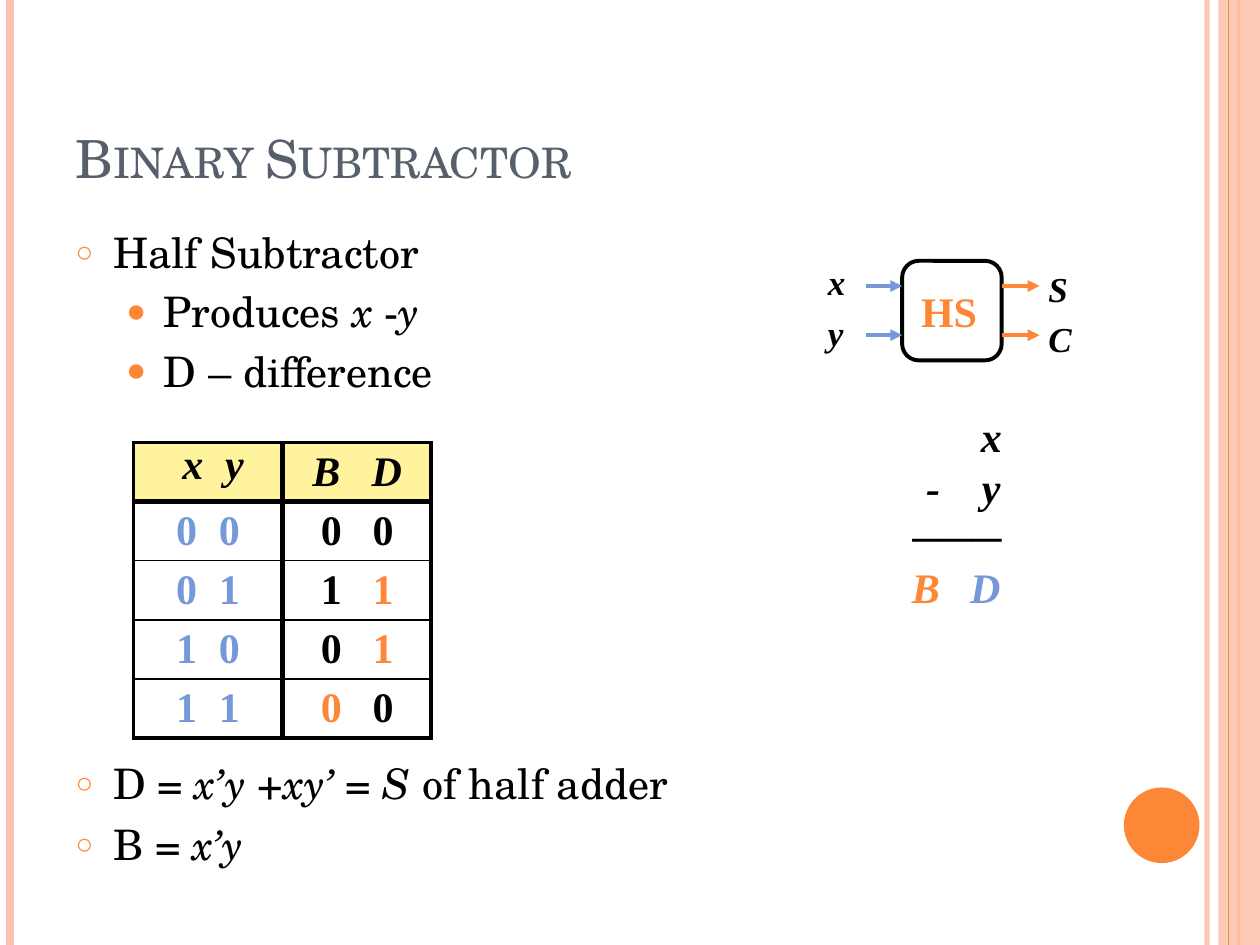
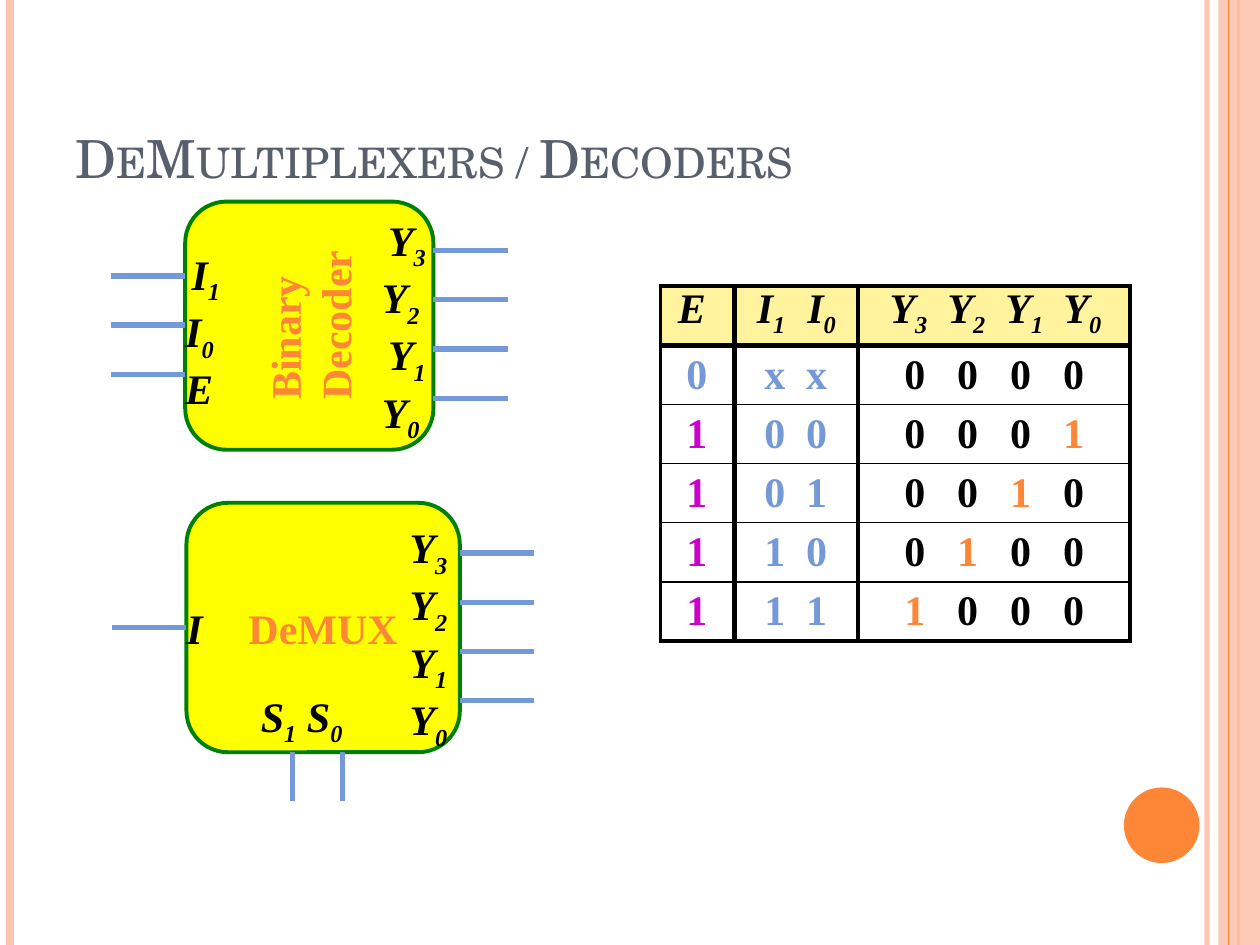
from lxml import etree
from pptx import Presentation
from pptx.dml.color import RGBColor
from pptx.enum.shapes import MSO_CONNECTOR, MSO_SHAPE
from pptx.enum.text import MSO_ANCHOR, MSO_AUTO_SIZE, PP_ALIGN
from pptx.oxml.ns import qn
from pptx.util import Inches, Pt

STRAIGHT = MSO_CONNECTOR.STRAIGHT
RECTANGLE, ROUNDED, OVAL = MSO_SHAPE.RECTANGLE, MSO_SHAPE.ROUNDED_RECTANGLE, MSO_SHAPE.OVAL
TOP, MIDDLE, BOTTOM = MSO_ANCHOR.TOP, MSO_ANCHOR.MIDDLE, MSO_ANCHOR.BOTTOM
LEFT, CENTER, RIGHT = PP_ALIGN.LEFT, PP_ALIGN.CENTER, PP_ALIGN.RIGHT

BLACK = RGBColor(0x00, 0x00, 0x00)
SLATE = RGBColor(0x57, 0x5F, 0x6D)
ORANGE = RGBColor(0xFE, 0x86, 0x37)
PEACH = RGBColor(0xFE, 0xC3, 0xAE)
BLUE = RGBColor(0x75, 0x98, 0xD9)
MAGENTA = RGBColor(0xCC, 0x00, 0xCC)
CREAM = RGBColor(0xFF, 0xF3, 0x9D)
YELLOW = RGBColor(0xFF, 0xFF, 0x00)
GREEN = RGBColor(0x00, 0x80, 0x00)

BODY_FONT = "TeX Gyre Schola"
DIAGRAM_FONT = "Times New Roman"
MARK_COLORS = {"*": ORANGE, "+": MAGENTA}
ROW_HEIGHT = 0.47
PIN_LENGTH = 0.59
PIN_GAP = 0.39


# ---- Text helpers ----
def add_child(parent, tag, **attributes):
    return etree.SubElement(parent, qn(tag), {key: str(value) for key, value in attributes.items()})


def set_font(font, name, size, color, bold=False, italic=False):
    font.name, font.size, font.bold, font.italic = name, Pt(size), bold, italic
    font.color.rgb = color


def set_indent(paragraph, margin, first_line=0):
    properties = paragraph._p.get_or_add_pPr()
    properties.set("marL", str(Inches(margin)))
    properties.set("indent", str(Inches(first_line)))
    return properties


def add_run(paragraph, text, color=None, subscript=False):
    run = paragraph.add_run()
    run.text = text
    if color is not None:
        run.font.color.rgb = color
    if subscript:
        run._r.get_or_add_rPr().set("baseline", "-25000")
    return run


def add_subscripted(paragraph, text, color=None):
    """Each character that follows an underscore is set as a subscript."""
    first, *others = text.split("_")
    add_run(paragraph, first, color)
    for part in others:
        add_run(paragraph, part[0], color, subscript=True)
        if part[1:]:
            add_run(paragraph, part[1:], color)


def add_tab_stops(paragraph, offsets, align):
    tab_list = add_child(paragraph._p.get_or_add_pPr(), "a:tabLst")
    for offset in offsets:
        add_child(tab_list, "a:tab", pos=Inches(offset), algn=align)


def clear_margins(frame):
    frame.margin_left = frame.margin_right = frame.margin_top = frame.margin_bottom = 0


def add_text_frame(slide, left, top, width, height):
    box = slide.shapes.add_textbox(Inches(left), Inches(top), Inches(width), Inches(height))
    frame = box.text_frame
    frame.word_wrap = True
    clear_margins(frame)
    return frame


def add_labels(slide, left, top, width, height, labels, size=24, gap=0, indents=()):
    frame = add_text_frame(slide, left, top, width, height)
    for index, label in enumerate(labels):
        paragraph = frame.paragraphs[0] if index == 0 else frame.add_paragraph()
        if index in indents:
            set_indent(paragraph, 0.05)
        if index and gap:
            paragraph.space_before = Pt(gap)
        set_font(paragraph.font, DIAGRAM_FONT, size, BLACK, bold=True, italic=True)
        add_subscripted(paragraph, label)


# ---- Shapes and lines ----
def add_shape(slide, kind, left, top, width, height, fill=None, line=None):
    shape = slide.shapes.add_shape(kind, Inches(left), Inches(top), Inches(width), Inches(height))
    shape.shadow.inherit = False
    if fill is None:
        shape.fill.background()
    else:
        shape.fill.solid()
        shape.fill.fore_color.rgb = fill
    if line is None:
        shape.line.fill.background()
    else:
        shape.line.color.rgb = line
        shape.line.width = Pt(2.25)
    return shape


def add_line(slide, start, end, color, width, arrow=False):
    line = slide.shapes.add_connector(STRAIGHT, *(Inches(value) for value in (*start, *end)))
    line.line.color.rgb = color
    line.line.width = Pt(width)
    if arrow:
        add_child(line.line._get_or_add_ln(), "a:tailEnd", type="triangle")
    add_child(line._element.spPr, "a:effectLst")
    return line


def set_opacity(shape, percent):
    color = next(shape._element.spPr.iter(qn("a:srgbClr")))
    add_child(color, "a:alpha", val=percent * 1000)


def add_block(slide, left, top, width, height, text, upward_indent=None):
    """The name is centred, or reads upward from an indent when one is given."""
    block = add_shape(slide, ROUNDED, left, top, width, height, YELLOW, GREEN)
    frame = block.text_frame
    clear_margins(frame)
    frame.word_wrap = True
    frame.vertical_anchor = MIDDLE
    frame.text = text
    paragraph = frame.paragraphs[0]
    paragraph.alignment = CENTER
    if upward_indent is not None:
        frame._txBody.bodyPr.set("vert", "vert270")
        paragraph.alignment = LEFT
        set_indent(paragraph, upward_indent)
    set_font(paragraph.font, DIAGRAM_FONT, 24, ORANGE, bold=True)
    return block


def add_pins(slide, left, top, count):
    for index in range(count):
        y = top + index * PIN_GAP
        add_line(slide, (left, y), (left + PIN_LENGTH, y), BLUE, 3)


# ---- Truth tables ----
def set_borders(cell, left, right, top, bottom):
    properties = cell._tc.get_or_add_tcPr()
    for index, (side, width) in enumerate(zip("LRTB", (left, right, top, bottom))):
        border = etree.Element(qn(f"a:ln{side}"), w=str(Pt(width)))
        add_child(add_child(border, "a:solidFill"), "a:srgbClr", val=str(BLACK))
        properties.insert(index, border)


def fill_cell(cell, text, offsets, color, header, anchor):
    """Set each symbol on its own centred tab stop; a final mark picks its colour."""
    clear_margins(cell)
    cell.vertical_anchor = anchor
    paragraph = cell.text_frame.paragraphs[0]
    paragraph.alignment = LEFT
    add_tab_stops(paragraph, offsets, "ctr")
    set_font(paragraph.font, DIAGRAM_FONT, 24, color, bold=True, italic=header)
    for symbol in text.split():
        mark = MARK_COLORS.get(symbol[-1])
        add_subscripted(paragraph, "\t" + (symbol[:-1] if mark else symbol), mark or color)
    if header:
        cell.fill.solid()
        cell.fill.fore_color.rgb = CREAM
    else:
        cell.fill.background()


def add_truth_table(slide, left, top, columns, rows):
    """A column is (width, heading, heading anchor, heading stops, value stops, value colour)."""
    last_row, last_column = len(rows), len(columns) - 1
    width = sum(column[0] for column in columns)
    table = slide.shapes.add_table(last_row + 1, len(columns), Inches(left), Inches(top),
                                   Inches(width), Inches(ROW_HEIGHT * (last_row + 1))).table
    table.first_row = table.horz_banding = False
    for row in table.rows:
        row.height = Inches(ROW_HEIGHT)
    for x, (column_width, heading, anchor, heading_stops, stops, color) in enumerate(columns):
        table.columns[x].width = Inches(column_width)
        fill_cell(table.cell(0, x), heading, heading_stops, BLACK, True, anchor)
        for y, row in enumerate(rows, 1):
            fill_cell(table.cell(y, x), row[x], stops, color, False, MIDDLE)
        for y in range(last_row + 1):
            set_borders(table.cell(y, x),
                        2.25 if x == 0 else 3,
                        2.25 if x == last_column else 3,
                        {0: 2.25, 1: 3}.get(y, 1),
                        {0: 3, last_row: 2.25}.get(y, 1))


# ---- Title, list and shared decoration ----
def place(shape, left, top, width, height):
    shape.left, shape.top = Inches(left), Inches(top)
    shape.width, shape.height = Inches(width), Inches(height)


def set_title(slide, text):
    title = slide.shapes.title
    place(title, 0.5, 0.3, 8.42, 1.25)
    title.text_frame.auto_size = MSO_AUTO_SIZE.NONE
    title.text_frame.vertical_anchor = BOTTOM
    paragraph = title.text_frame.paragraphs[0]
    paragraph.alignment = LEFT
    set_font(paragraph.font, BODY_FONT, 30, SLATE)
    add_run(paragraph, text)._r.get_or_add_rPr().set("cap", "small")


def fill_list(body, items):
    """An item is (level, space before, text with *italics*)."""
    place(body, 0.5, 1.75, 8.42, 5.33)
    frame = body.text_frame
    frame.auto_size = MSO_AUTO_SIZE.NONE
    for index, (level, space, text) in enumerate(items):
        paragraph = frame.paragraphs[0] if index == 0 else frame.add_paragraph()
        paragraph.level = level
        properties = set_indent(paragraph, (0.3, 0.7)[level], -0.3)
        add_child(add_child(properties, "a:buClr"), "a:srgbClr", val=str(ORANGE))
        add_child(properties, "a:buSzPct", val=(70000, 80000)[level])
        add_child(properties, "a:buChar", char="○●"[level])
        paragraph.space_before = Pt(space)
        set_font(paragraph.font, BODY_FONT, 24, BLACK)
        for part_index, part in enumerate(text.split("*")):
            if part:
                run = add_run(paragraph, part)
                if part_index % 2:
                    run.font.italic = True


def decorate_master(presentation, slide):
    """Draw the side bands and the dot, then move them to the slide master."""
    def band_line(x, color, width):
        return add_line(slide, (x, 0), (x, 7.5), color, width)

    inner_line = band_line(9.58, PEACH, 3)
    set_opacity(inner_line, 93)
    left_line = band_line(0.08, PEACH, 4.5)
    outer_line = band_line(9.83, ORANGE, 1.5)
    band = add_shape(slide, RECTANGLE, 9.67, 0, 0.33, 7.5, PEACH)
    set_opacity(band, 87)
    thin_line = band_line(9.75, ORANGE, 0.75)
    dot = add_shape(slide, OVAL, 8.92, 6.25, 0.6, 0.6, ORANGE)
    master_tree = presentation.slide_master.shapes.element
    for index, shape in enumerate((inner_line, left_line, outer_line, band, thin_line, dot)):
        next(shape.element.iter(qn("p:cNvPr"))).set("id", str(101 + index))
        master_tree.insert(2 + index, shape.element)


# ---- Slides ----
def build_subtractor(slide):
    set_title(slide, "Binary Subtractor")
    fill_list(slide.placeholders[1], [
        (0, 0, "Half Subtractor"),
        (1, 5, "Produces *x* -*y*"),
        (1, 5, "D – difference"),
        (0, 207, "D = *x’y* +*xy’* = *S* of half adder"),
        (0, 6, "B = *x’y*"),
    ])

    # Half subtractor block
    add_shape(slide, ROUNDED, 7.16, 2.07, 0.79, 0.79, line=BLACK)
    for y in (2.27, 2.66):
        add_line(slide, (6.87, y), (7.16, y), BLUE, 2.25, arrow=True)
        add_line(slide, (7.95, y), (8.25, y), ORANGE, 2.25, arrow=True)
    name = add_text_frame(slide, 7.31, 2.27, 0.45, 0.4)
    name.word_wrap = False
    set_font(name.paragraphs[0].font, DIAGRAM_FONT, 24, ORANGE, bold=True)
    add_run(name.paragraphs[0], "HS")
    add_labels(slide, 6.57, 2.07, 0.2, 0.68, ["x", "y"], size=20, gap=5)
    add_labels(slide, 8.32, 2.12, 0.2, 0.68, ["S", "C"], size=20, gap=5)

    add_truth_table(slide, 1.06, 3.51, [
        (1.18, "x y", TOP, (0.47, 0.8), (0.42, 0.76), BLUE),
        (1.18, "B D", MIDDLE, (0.35, 0.83), (0.39, 0.8), BLACK),
    ], [("0 0", "0 0"), ("0 1", "1 1*"), ("1 0", "0 1*"), ("1 1", "0* 0")])

    # Written subtraction
    frame = add_text_frame(slide, 6.97, 3.26, 0.98, 1.62)
    lines = [[("x", BLACK)], [("\t-", BLACK), ("\ty", BLACK)], [("───", BLACK)],
             [("\tB", ORANGE), ("\tD", BLUE)]]
    for index, runs in enumerate(lines):
        paragraph = frame.paragraphs[0] if index == 0 else frame.add_paragraph()
        if len(runs) == 1:
            paragraph.alignment = RIGHT
        else:
            add_tab_stops(paragraph, (0.49, 0.97), "r")
        set_font(paragraph.font, DIAGRAM_FONT, 24, BLACK, bold=True, italic=True)
        for text, color in runs:
            add_run(paragraph, text, color)


def build_decoders(slide):
    set_title(slide, "DeMultiplexers / Decoders")
    outputs = ["Y_3", "Y_2", "Y_1", "Y_0"]

    # Decoder
    add_block(slide, 1.47, 1.6, 1.97, 1.97, "Binary\vDecoder", upward_indent=0.3)
    add_pins(slide, 0.88, 2.19, 3)
    add_pins(slide, 3.44, 1.99, 4)
    add_labels(slide, 1.47, 1.97, 0.39, 1.2, ["I_1", "I_0", "E"], indents=(0,))
    add_labels(slide, 3.03, 1.7, 0.39, 1.6, outputs, indents=(0, 2))

    add_truth_table(slide, 5.24, 2.27, [
        (0.59, "E", TOP, (0.25,), (0.29,), BLUE),
        (0.98, "I_1 I_0", TOP, (0.29, 0.69), (0.32, 0.65), BLUE),
        (2.16, "Y_3 Y_2 Y_1 Y_0", TOP, (0.4, 0.86, 1.32, 1.78), (0.45, 0.87, 1.29, 1.71), BLACK),
    ], [("0", "x x", "0 0 0 0"), ("1+", "0 0", "0 0 0 1*"), ("1+", "0 1", "0 0 1* 0"),
        ("1+", "1 0", "0 1* 0 0"), ("1+", "1 1", "1* 0 0 0")])

    # Demultiplexer
    demux = add_block(slide, 1.48, 3.99, 2.17, 1.98, "DeMUX")
    for x in (2.32, 2.72):
        add_line(slide, (x, 6.36), (x, 5.97), BLUE, 3)
    add_pins(slide, 3.65, 4.39, 4)
    add_line(slide, (0.89, 4.98), (1.48, 4.98), BLUE, 3).end_connect(demux, 1)
    add_labels(slide, 1.48, 4.78, 0.39, 0.4, ["I"])
    add_labels(slide, 3.25, 4.14, 0.39, 1.6, outputs)
    add_labels(slide, 2.07, 5.48, 0.98, 0.4, ["S_1 S_0"])


def main():
    presentation = Presentation()
    presentation.slide_width, presentation.slide_height = Inches(10), Inches(7.5)
    subtractor = presentation.slides.add_slide(presentation.slide_layouts[1])
    decorate_master(presentation, subtractor)
    build_subtractor(subtractor)
    build_decoders(presentation.slides.add_slide(presentation.slide_layouts[5]))
    presentation.save("out.pptx")


if __name__ == "__main__":
    main()
